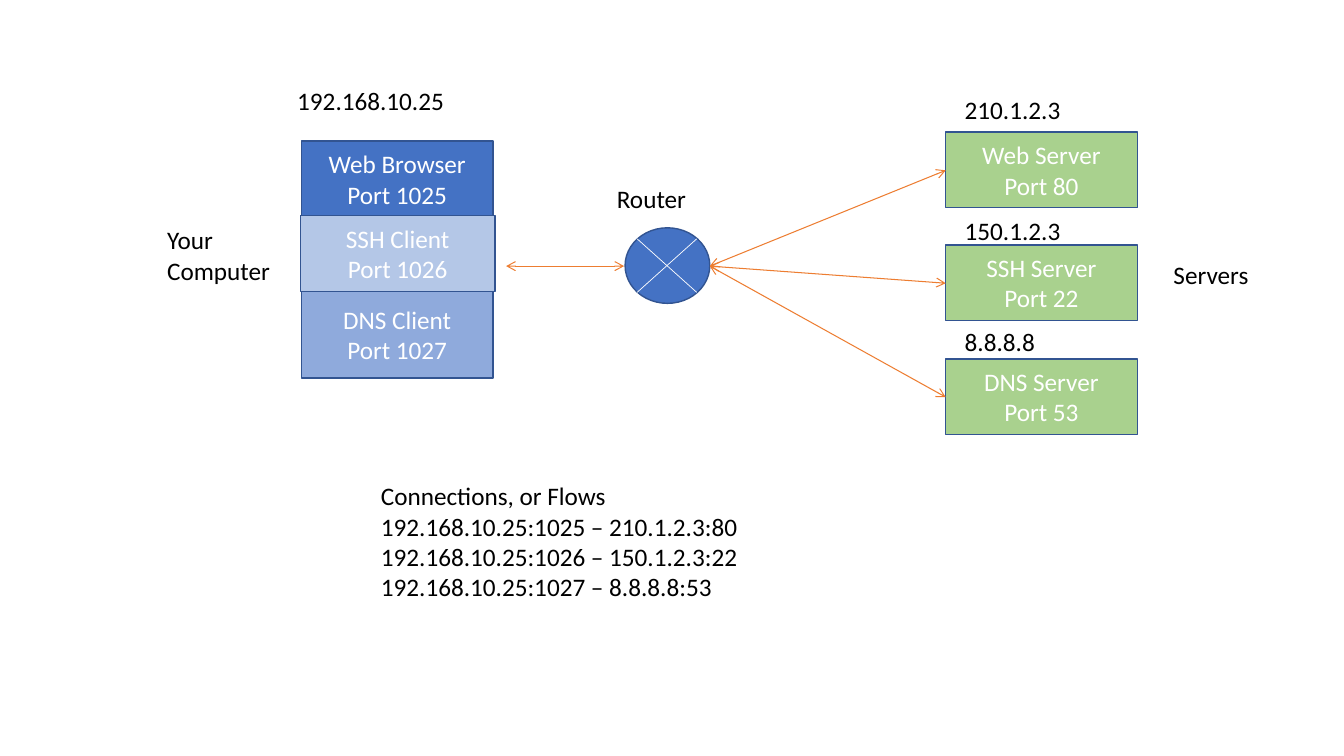
from lxml.etree import SubElement
from pptx import Presentation
from pptx.dml.color import RGBColor
from pptx.enum.shapes import MSO_CONNECTOR, MSO_SHAPE
from pptx.enum.text import MSO_ANCHOR, PP_ALIGN
from pptx.oxml.ns import qn
from pptx.util import Pt

PX = 9144  # EMU per px, 100 px to the inch

BLUE = RGBColor(0x44, 0x72, 0xC4)
PALE_BLUE = RGBColor(0xB4, 0xC7, 0xE7)
MID_BLUE = RGBColor(0x8F, 0xAA, 0xDC)
OUTLINE = RGBColor(0x32, 0x54, 0x91)
GREEN = RGBColor(0xA9, 0xD1, 0x8E)
ORANGE = RGBColor(0xED, 0x7D, 0x31)
WHITE = RGBColor(0xFF, 0xFF, 0xFF)
BLACK = RGBColor(0x00, 0x00, 0x00)

CLIENTS = [
    ("Web Browser\nPort 1025", (299, 140, 190, 75), BLUE),
    ("SSH Client\nPort 1026", (298, 214, 193, 75), PALE_BLUE),
    ("DNS Client\nPort 1027", (299, 289, 190, 86), MID_BLUE),
]
# name and port, box top, address, address top
SERVERS = [
    ("Web Server\nPort 80", 131, "210.1.2.3", 89),
    ("SSH Server\nPort 22", 243, "150.1.2.3", 209),
    ("DNS Server\nPort 53", 356, "8.8.8.8", 319),
]
SERVER_LEFT, SERVER_WIDTH, SERVER_HEIGHT = 938, 190, 75
ROUTER_RIGHT, ROUTER_MIDDLE = 704, 264
FLOWS = """Connections, or Flows
192.168.10.25:1025 – 210.1.2.3:80
192.168.10.25:1026 – 150.1.2.3:22
192.168.10.25:1027 – 8.8.8.8:53"""
LABELS = [
    ("192.168.10.25", (285, 80, 217, 40)),
    ("Router", (602, 177, 116, 40)),
    (FLOWS, (368, 472, 744, 131)),
    ("Your\nComputer", (156, 218, 140, 71)),
    ("Servers", (1154, 252, 119, 40)),
]


def emu(box):
    return [v * PX for v in box]


def write(tf, text, color, align):
    tf.word_wrap = True
    tf.text = text
    for p in tf.paragraphs:
        p.alignment = align
        for r in p.runs:
            r.font.name = "Calibri"
            r.font.size = Pt(18)
            r.font.color.rgb = color


def add_filled(s, kind, box, fill):
    sp = s.shapes.add_shape(kind, *emu(box))
    sp.shadow.inherit = False
    sp.fill.solid()
    sp.fill.fore_color.rgb = fill
    sp.line.color.rgb = OUTLINE
    sp.line.width = Pt(1)
    return sp


def add_host(s, text, box, fill):
    tf = add_filled(s, MSO_SHAPE.RECTANGLE, box, fill).text_frame
    tf.vertical_anchor = MSO_ANCHOR.MIDDLE
    write(tf, text, WHITE, PP_ALIGN.CENTER)


def add_label(s, text, box):
    tf = s.shapes.add_textbox(*emu(box)).text_frame
    write(tf, text, BLACK, PP_ALIGN.LEFT)


def add_line(s, ends, color, width):
    line = s.shapes.add_connector(MSO_CONNECTOR.STRAIGHT, *emu(ends))
    line.line.color.rgb = color
    line.line.width = Pt(width)
    SubElement(line._element.spPr, qn("a:effectLst"))
    return line


def add_two_way_arrow(s, ends):
    ln = add_line(s, ends, ORANGE, 0.75).line._get_or_add_ln()
    for tag in ("a:headEnd", "a:tailEnd"):
        SubElement(ln, qn(tag), type="arrow")


def add_router(s):
    add_filled(s, MSO_SHAPE.OVAL, (620, 226, 84, 75), BLUE)
    for start, end in ((632, 691), (691, 632)):
        add_line(s, (start, 237, end, 290), WHITE, 0.5)


def main():
    prs = Presentation()
    prs.slide_width, prs.slide_height = emu((1333, 750))
    s = prs.slides.add_slide(prs.slide_layouts[6])

    for text, box, fill in CLIENTS:
        add_host(s, text, box, fill)
    add_router(s)
    add_two_way_arrow(s, (502, ROUTER_MIDDLE, 619, ROUTER_MIDDLE))
    for text, top, address, address_top in SERVERS:
        add_host(s, text, (SERVER_LEFT, top, SERVER_WIDTH, SERVER_HEIGHT), GREEN)
        middle = top + SERVER_HEIGHT // 2 + 1
        add_two_way_arrow(s, (ROUTER_RIGHT, ROUTER_MIDDLE, SERVER_LEFT, middle))
        add_label(s, address, (947, address_top, 150, 40))
    for text, box in LABELS:
        add_label(s, text, box)

    prs.save("out.pptx")


if __name__ == "__main__":
    main()
